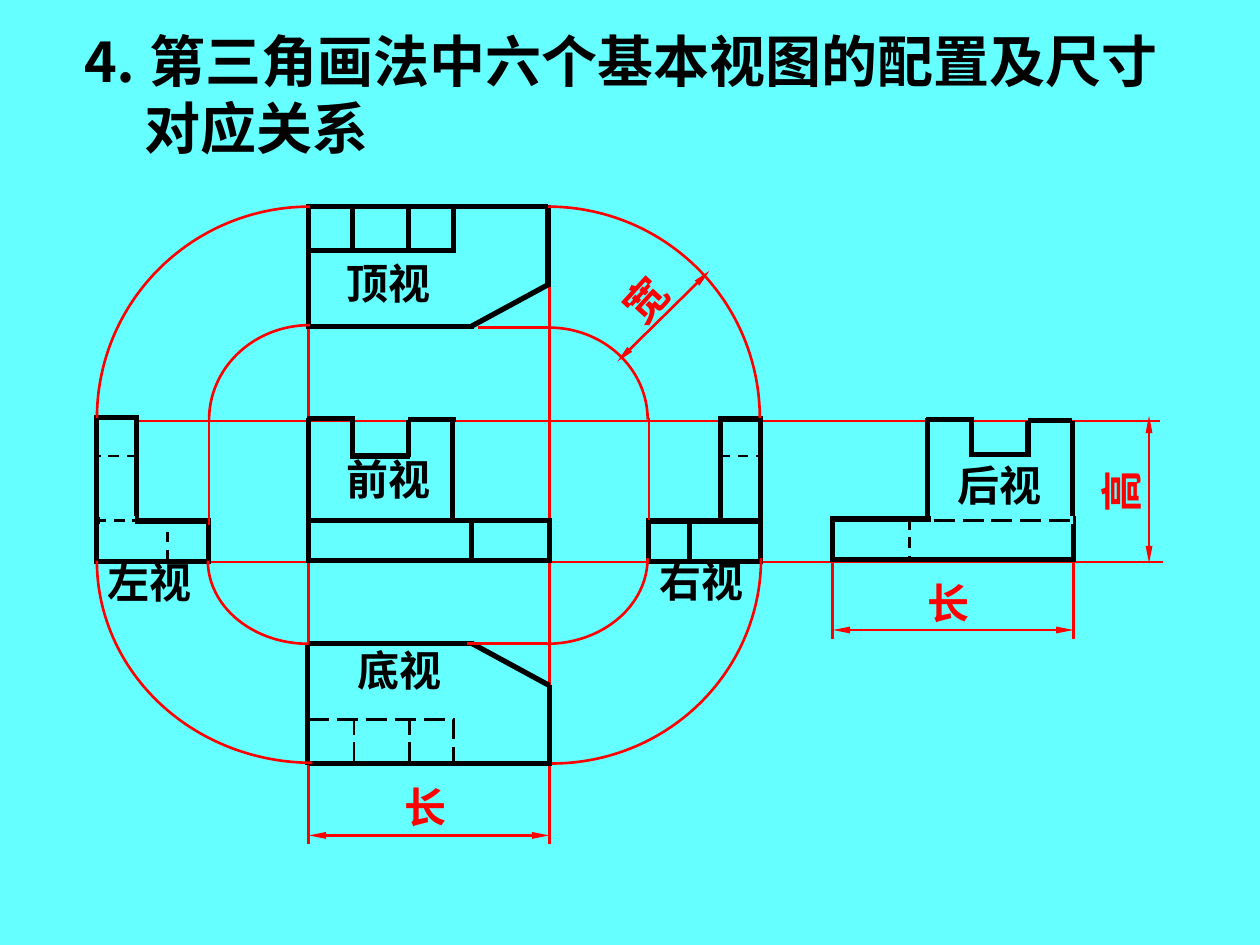
from lxml.etree import SubElement
from pptx import Presentation
from pptx.dml.color import RGBColor
from pptx.enum.dml import MSO_LINE
from pptx.enum.shapes import MSO_CONNECTOR, MSO_SHAPE
from pptx.enum.text import MSO_ANCHOR, MSO_AUTO_SIZE, PP_ALIGN
from pptx.oxml.ns import qn
from pptx.util import Pt

CYAN = RGBColor(0x66, 0xFF, 0xFF)
RED = RGBColor(0xFF, 0x00, 0x00)
BLACK = RGBColor(0x00, 0x00, 0x00)
SANS, SERIF = "Noto Sans CJK SC", "Times New Roman"

# Line styles: colour, width, dash, arrowheads at both ends
STYLES = {
    "thin": (RED, 1.5, None, False),
    "size": (RED, 1.5, None, True),
    "edge": (BLACK, 3, None, False),
    "dash": (BLACK, 1.5, MSO_LINE.DASH, False),
    "long": (BLACK, 1.5, MSO_LINE.LONG_DASH, False),
    "mask": (CYAN, 4.5, None, False),
}

# Each part lists lines (x1, y1, x2, y2) and boxes (x, y, w, h) by style
GUIDES = [
    ("thin", "line", [(475.9, 318.2, 475.9, 365), (613.4, 319.7, 613.4, 365),
                      (176.4, 187.2, 176.4, 482.4), (313.9, 162.7, 313.9, 482.4),
                      (116.6, 321.1, 664.6, 321.1), (77.8, 240.5, 663.1, 240.5)]),
    ("size", "line", [(475.9, 360, 613.4, 360), (176.4, 477.4, 313.9, 477.4),
                      (656.6, 237.6, 656.6, 321.8)]),
]
FRONT = [
    ("edge", "box", [(176.4, 297.4, 137.5, 23)]),
    ("edge", "line", [(200.9, 260.6, 234, 260.6), (176.4, 297.4, 176.4, 239),
                      (175.7, 239, 203, 239), (201.6, 239, 201.6, 262.1),
                      (233.3, 239.8, 233.3, 261.4), (233.3, 239.8, 260.6, 239.8),
                      (258.5, 239, 258.5, 297.4), (269.3, 297.4, 269.3, 321.1)]),
]
TOP = [
    ("edge", "line", [(176.4, 118.1, 176.4, 187.9), (176.4, 186.5, 270.7, 186.5),
                      (176.4, 118.1, 313.2, 118.1), (313.2, 117.4, 313.2, 164.2),
                      (313.2, 162.7, 269.3, 186.5), (233.3, 118.1, 233.3, 143.3),
                      (201.6, 118.1, 201.6, 143.3)]),
    ("edge", "box", [(176.4, 118.1, 82.8, 25.2)]),
]
RIGHT = [
    ("edge", "box", [(370.4, 297.7, 64.1, 23), (411.5, 239.4, 23, 58.3)]),
    ("edge", "line", [(393.8, 320.4, 393.8, 298.1)]),
    ("dash", "line", [(411.1, 260.6, 434.2, 260.6)]),
]
BOTTOM = [
    ("edge", "line", [(175.7, 437, 175.7, 367.9), (176.4, 367.9, 270.7, 367.9),
                      (176.4, 436.3, 313.9, 436.3), (313.9, 437.8, 313.9, 391.7),
                      (313.9, 391.7, 270, 367.9)]),
    ("long", "box", [(176.4, 411.1, 82.8, 25.2)]),
    ("long", "line", [(234, 436.3, 234, 411.1), (202.3, 436.3, 202.3, 411.1)]),
]
LEFT = [
    ("edge", "box", [(55.1, 297.7, 64.1, 23), (55.1, 238.7, 23, 58.3)]),
    ("dash", "line", [(95.8, 320.4, 95.8, 298.1), (78.5, 260.6, 54.7, 260.6)]),
    ("mask", "line", [(56.9, 297.4, 77, 297.4)]),
    ("dash", "line", [(54.7, 297.4, 77.8, 297.4)]),
]
REAR = [
    ("edge", "box", [(475.9, 296.6, 137.5, 23)]),
    ("edge", "line", [(587.5, 259.9, 555.1, 259.9), (612.7, 296.6, 612.7, 240.5),
                      (587.5, 240.5, 587.5, 261.4), (555.1, 239, 555.1, 261.4),
                      (556.6, 239.8, 529.2, 239.8), (529.9, 239, 529.9, 296.6),
                      (587.5, 240.5, 612.7, 240.5)]),
    ("dash", "line", [(519.8, 296.6, 519.8, 321.1)]),
    ("mask", "line", [(532.1, 297, 613.4, 297)]),
    ("long", "line", [(533.5, 297.4, 614.9, 297.4)]),
]
WIDTH = [
    ("thin", "line", [(119.5, 300.2, 119.5, 236.9), (370.8, 297.4, 370.8, 239),
                      (267.1, 367.9, 312.5, 367.9), (272.9, 187.2, 313.2, 187.2)]),
    ("size", "line", [(352.8, 206.6, 405.4, 154.8)]),
]

# Quarter arcs: point above or below the centre, then point beside it
ARCS = [
    (176.4, 367.9, 118.8, 320.4), (178.6, 435.9, 55.4, 320.4),
    (315.4, 436.3, 434.9, 319), (313.9, 187.2, 370.1, 239.8),
    (313.2, 118.1, 434.2, 239), (177.1, 185.8, 119.5, 239.8),
    (177.1, 118.1, 55.4, 239), (312.5, 367.9, 370.1, 319),
]

# Labels: text, centre x, centre y, colour, turn
LABELS = [
    ("左视", 85.3, 332.6, BLACK, 0), ("右视", 401, 331.9, BLACK, 0),
    ("前视", 221.8, 273.6, BLACK, 0), ("顶视", 221.8, 161.3, BLACK, 0),
    ("底视", 228.2, 383, BLACK, 0), ("后视", 571, 277.2, BLACK, 0),
    ("长", 541.8, 344.2, RED, 0), ("长", 243, 460.8, RED, 0),
    ("高", 640.4, 280.8, RED, 270), ("宽", 369, 171.4, RED, 312.2),
]
TITLE = ["⒋ 第三角画法中六个基本视图的配置及尺寸", "对应关系"]

deck = Presentation()
deck.slide_width, deck.slide_height = Pt(720), Pt(540)
slide = deck.slides.add_slide(deck.slide_layouts[6])
slide.background.fill.solid()
slide.background.fill.fore_color.rgb = CYAN
shapes = slide.shapes


def ink(item, style):
    color, width, dash, heads = STYLES[style]
    item.line.color.rgb = color
    item.line.width = Pt(width)
    if dash:
        item.line.dash_style = dash
    stroke = item._element.spPr.find(qn("a:ln"))
    SubElement(stroke, qn("a:miter"), lim="800000")
    if heads:
        for tag in ("a:headEnd", "a:tailEnd"):
            SubElement(stroke, qn(tag), type="triangle", w="sm", len="lg")


def add_line(style, *ends):
    item = shapes.add_connector(MSO_CONNECTOR.STRAIGHT, *map(Pt, ends))
    ink(item, style)
    SubElement(item._element.spPr, qn("a:effectLst"))


def add_box(style, *frame, kind=MSO_SHAPE.RECTANGLE):
    item = shapes.add_shape(kind, *map(Pt, frame))
    item.shadow.inherit = False
    item.fill.background()
    ink(item, style)
    return item


def add_arc(x, y, side, mid):
    rx, ry = abs(side - x), abs(y - mid)
    item = add_box("thin", x - rx, mid - ry, 2 * rx, 2 * ry, kind=MSO_SHAPE.ARC)
    if y > mid:
        start = 0 if side > x else 90
    else:
        start = 270 if side > x else 180
    # Angles count 60000 to the degree, adjustments 100000 to the unit
    item.adjustments[0] = start * 0.6
    item.adjustments[1] = (start + 90) % 360 * 0.6


def add_text(lines, x, y, w, h, size=24, font=SERIF, color=BLACK,
             align=PP_ALIGN.CENTER, turn=0, indent=0):
    item = shapes.add_textbox(Pt(x), Pt(y), Pt(w), Pt(h))
    item.rotation = turn
    frame = item.text_frame
    frame.word_wrap = False
    frame.auto_size = MSO_AUTO_SIZE.SHAPE_TO_FIT_TEXT
    frame.vertical_anchor = MSO_ANCHOR.MIDDLE
    for i, line in enumerate(lines):
        para = frame.add_paragraph() if i else frame.paragraphs[0]
        para.alignment = align
        if i and indent:
            para._p.get_or_add_pPr().set("marL", str(Pt(indent)))
        run = para.add_run()
        run.text = line
        run.font.size, run.font.bold = Pt(size), True
        run.font.color.rgb = color
        run.font.name = font
        SubElement(run._r.get_or_add_rPr(), qn("a:ea"), typeface=SANS)


# Views and dimension lines, back to front
for part in (GUIDES, FRONT, TOP, RIGHT, BOTTOM, LEFT, REAR, WIDTH):
    for style, kind, items in part:
        draw = add_line if kind == "line" else add_box
        for item in items:
            draw(style, *item)

for arc in ARCS:
    add_arc(*arc)

# Title and labels
add_text(TITLE, 38.9, 11.5, 632, 84.2, size=32, font=SANS,
         align=PP_ALIGN.LEFT, indent=36.5)
for text, x, y, color, turn in LABELS:
    wide = 24 * len(text) + 16
    add_text([text], x - wide / 2, y - 18, wide, 36, color=color, turn=turn)

deck.save("out.pptx")
